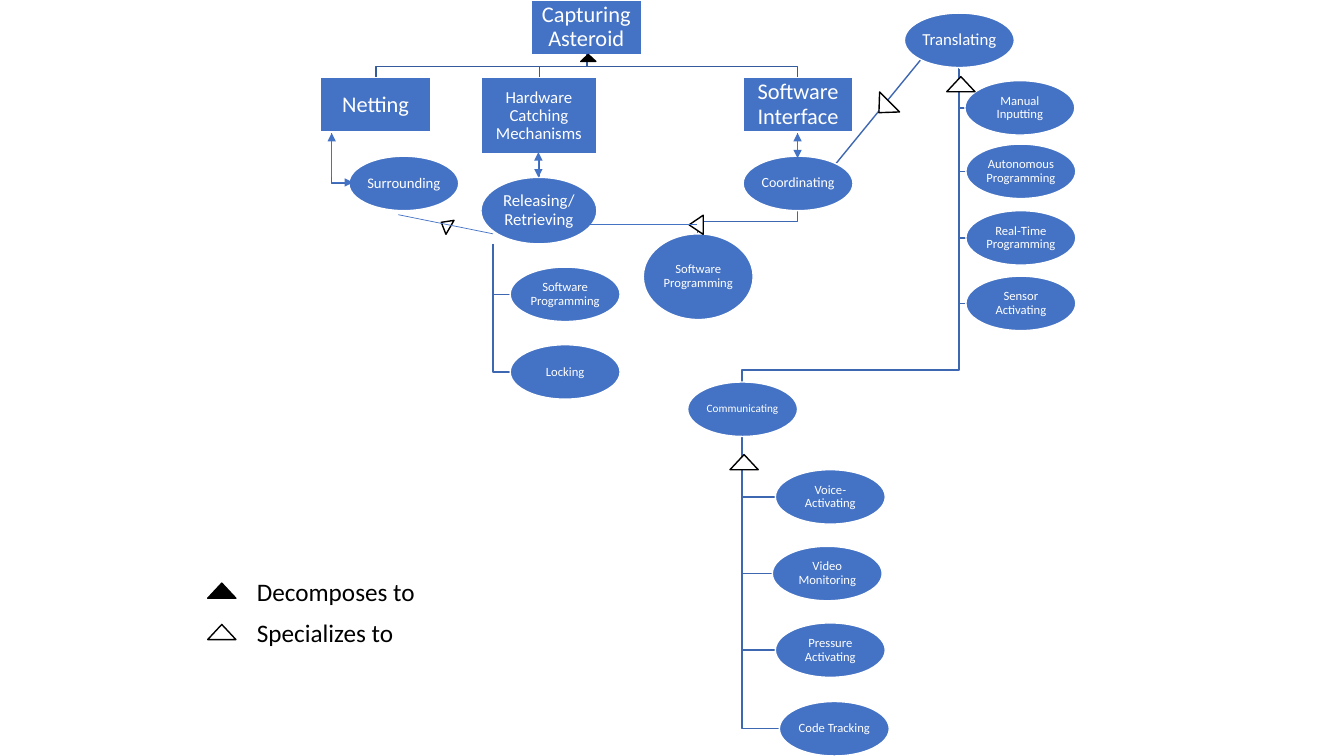
import dataclasses

import lxml.etree
import pptx
import pptx.dml.color
import pptx.enum.shapes
import pptx.enum.text
import pptx.oxml.ns
import pptx.util

Inches = pptx.util.Inches
Shapes = pptx.enum.shapes.MSO_SHAPE


@dataclasses.dataclass(frozen=True)
class Theme:
    font: str = "Calibri"
    node: str = "4472C4"
    link: str = "3E67B2"
    root_link: str = "365B9D"
    white: str = "FFFFFF"
    black: str = "000000"
    heading: float = 16
    large: float = 12
    medium: float = 10.5
    regular: float = 10
    small: float = 9
    tiny: float = 8
    legend: float = 18
    line: float = 1
    thin_line: float = 0.5


THEME = Theme()
NODE_WIDTH, NODE_HEIGHT = 1.09, 0.54
MARK_WIDTH, MARK_HEIGHT = 0.28, 0.15


def rgb(value):
    return pptx.dml.color.RGBColor.from_string(value)


def paint(shape, fill, line):
    shape.shadow.inherit = False
    shape.fill.solid()
    shape.fill.fore_color.rgb = rgb(fill)
    shape.line.color.rgb = rgb(line)
    shape.line.width = pptx.util.Pt(THEME.line)


def write(shape, text, size, color):
    frame = shape.text_frame
    frame.text = text
    frame.word_wrap = True
    frame.auto_size = pptx.enum.text.MSO_AUTO_SIZE.NONE
    para = frame.paragraphs[0]
    para.font.name = THEME.font
    para.font.size = pptx.util.Pt(size)
    para.font.color.rgb = rgb(color)
    return frame


def style_node(shape, text, size):
    paint(shape, THEME.node, THEME.white)
    frame = write(shape, text, size, THEME.white)
    frame.vertical_anchor = pptx.enum.text.MSO_ANCHOR.MIDDLE
    frame.margin_left = frame.margin_right = Inches(0.01)
    frame.margin_top = frame.margin_bottom = Inches(0.01)
    para = frame.paragraphs[0]
    para.alignment = pptx.enum.text.PP_ALIGN.CENTER
    para.line_spacing = 0.9
    para.space_before = pptx.util.Pt(0)


def add_root(page, text, left, top):
    title = page.shapes.title
    title.left, title.top = Inches(left), Inches(top)
    title.width, title.height = Inches(NODE_WIDTH), Inches(NODE_HEIGHT)
    style_node(title, text, THEME.heading)


def add_node(page, kind, text, left, top, size, width=NODE_WIDTH, height=NODE_HEIGHT):
    node = page.shapes.add_shape(kind, Inches(left), Inches(top), Inches(width), Inches(height))
    style_node(node, text, size)


def add_elbow(page, points, color=THEME.link):
    start, *rest = [(Inches(x), Inches(y)) for x, y in points]
    builder = page.shapes.build_freeform(*start)
    builder.add_line_segments(rest, close=False)
    elbow = builder.convert_to_shape()
    elbow.shadow.inherit = False
    elbow.fill.background()
    elbow.line.color.rgb = rgb(color)
    elbow.line.width = pptx.util.Pt(THEME.line)


def add_family(page, trunk, top, children):
    for text, left, child_top in children:
        middle = child_top + NODE_HEIGHT / 2
        add_elbow(page, [(trunk, top), (trunk, middle), (left, middle)])
    for text, left, child_top in children:
        add_node(page, Shapes.OVAL, text, left, child_top, THEME.small)


def add_line(page, start, end, width, color=THEME.node, head=False, tail=False):
    line = page.shapes.add_connector(
        pptx.enum.shapes.MSO_CONNECTOR.STRAIGHT, *[Inches(value) for value in (*start, *end)])
    line.line.color.rgb = rgb(color)
    line.line.width = pptx.util.Pt(width)
    properties = line.element.spPr
    outline = properties.find(pptx.oxml.ns.qn("a:ln"))
    for tag, shown in (("a:headEnd", head), ("a:tailEnd", tail)):
        if shown:
            lxml.etree.SubElement(outline, pptx.oxml.ns.qn(tag), type="triangle")
    lxml.etree.SubElement(properties, pptx.oxml.ns.qn("a:effectLst"))


def add_mark(page, left, top, fill=THEME.white, width=MARK_WIDTH, height=MARK_HEIGHT, rotation=0):
    mark = page.shapes.add_shape(
        Shapes.FLOWCHART_EXTRACT, Inches(left), Inches(top), Inches(width), Inches(height))
    paint(mark, fill, THEME.black)
    mark.rotation = rotation


def add_legend_entry(page, text, top, fill):
    add_mark(page, 2.06, top + 0.115, fill)
    box = page.shapes.add_textbox(Inches(2.45), Inches(top), Inches(2.1), Inches(0.4))
    write(box, text, THEME.legend, THEME.black)


def main():
    deck = pptx.Presentation()
    deck.slide_width, deck.slide_height = Inches(13.33), Inches(7.5)
    page = deck.slides.add_slide(deck.slide_layouts[5])

    add_root(page, "Capturing Asteroid", 5.27, 0)
    for x in (7.91, 5.35, 3.73):
        add_elbow(page, [(5.82, 0.54), (5.82, 0.66), (x, 0.66), (x, 0.77)], THEME.root_link)
    add_elbow(page, [(9.51, 0.68), (9.51, 3.67), (7.36, 3.67), (7.36, 3.79)])
    add_elbow(page, [(7.91, 2.09), (7.91, 2.2), (6.92, 2.2), (6.92, 2.32)])
    add_elbow(page, [(3.29, 1.32), (3.29, 1.82), (3.46, 1.82)])
    for start, end in (((7.91, 2.09), (9.51, 0.13)),
                       ((7.91, 1.32), (7.91, 1.55)),
                       ((5.35, 1.53), (5.35, 1.76))):
        add_line(page, start, end, THEME.line, THEME.link)

    add_family(page, 9.51, 0.68, [
        ("Manual Inputting", 9.57, 0.8),
        ("Autonomous Programming", 9.58, 1.43),
        ("Real-Time Programming", 9.58, 2.09),
        ("Sensor Activating", 9.58, 2.74)])
    add_family(page, 7.36, 4.33, [
        ("Voice-Activating", 7.69, 4.66),
        ("Video Monitoring", 7.66, 5.42),
        ("Pressure Activating", 7.69, 6.18),
        ("Code Tracking", 7.73, 6.96)])
    add_family(page, 4.89, 2.42, [
        ("Software Programming", 5.06, 2.65),
        ("Locking", 5.06, 3.42)])

    add_node(page, Shapes.RECTANGLE, "Netting", 3.18, 0.77, THEME.heading)
    add_node(page, Shapes.RECTANGLE, "Hardware Catching Mechanisms", 4.77, 0.77,
             THEME.large, 1.15, 0.76)
    add_node(page, Shapes.RECTANGLE, "Software Interface", 7.37, 0.77, THEME.heading)
    add_node(page, Shapes.OVAL, "Surrounding", 3.46, 1.55, THEME.medium)
    add_node(page, Shapes.OVAL, "Releasing/Retrieving", 4.77, 1.76, THEME.large, 1.15, 0.66)
    add_node(page, Shapes.OVAL, "Coordinating", 7.37, 1.55, THEME.regular)
    add_node(page, Shapes.OVAL, "Software Programming", 6.38, 2.32, THEME.small, height=0.85)
    add_node(page, Shapes.OVAL, "Translating", 8.97, 0.13, THEME.large)
    add_node(page, Shapes.OVAL, "Communicating", 6.82, 3.79, THEME.tiny)

    add_mark(page, 5.76, 0.54, THEME.black, 0.15, 0.07)
    add_mark(page, 7.24, 4.51)
    add_mark(page, 9.39, 0.76)
    add_mark(page, 8.63, 0.99, rotation=225)
    add_mark(page, 6.81, 2.16, width=0.19, height=0.14, rotation=270)
    add_mark(page, 4.34, 2.18, width=0.16, height=0.1, rotation=300)

    add_line(page, (3.95, 2.13), (4.89, 2.32), THEME.thin_line)
    add_line(page, (5.76, 2.23), (6.91, 2.23), THEME.thin_line)
    add_line(page, (7.91, 1.32), (7.91, 1.57), THEME.thin_line, head=True, tail=True)
    add_line(page, (5.34, 1.51), (5.34, 1.76), THEME.thin_line, head=True, tail=True)
    add_line(page, (3.29, 1.76), (3.29, 1.32), THEME.thin_line, tail=True)
    add_line(page, (3.29, 1.81), (3.5, 1.81), THEME.thin_line, tail=True)

    add_legend_entry(page, "Decomposes to", 5.67, THEME.black)
    add_legend_entry(page, "Specializes to", 6.08, THEME.white)
    deck.save("out.pptx")


main()
